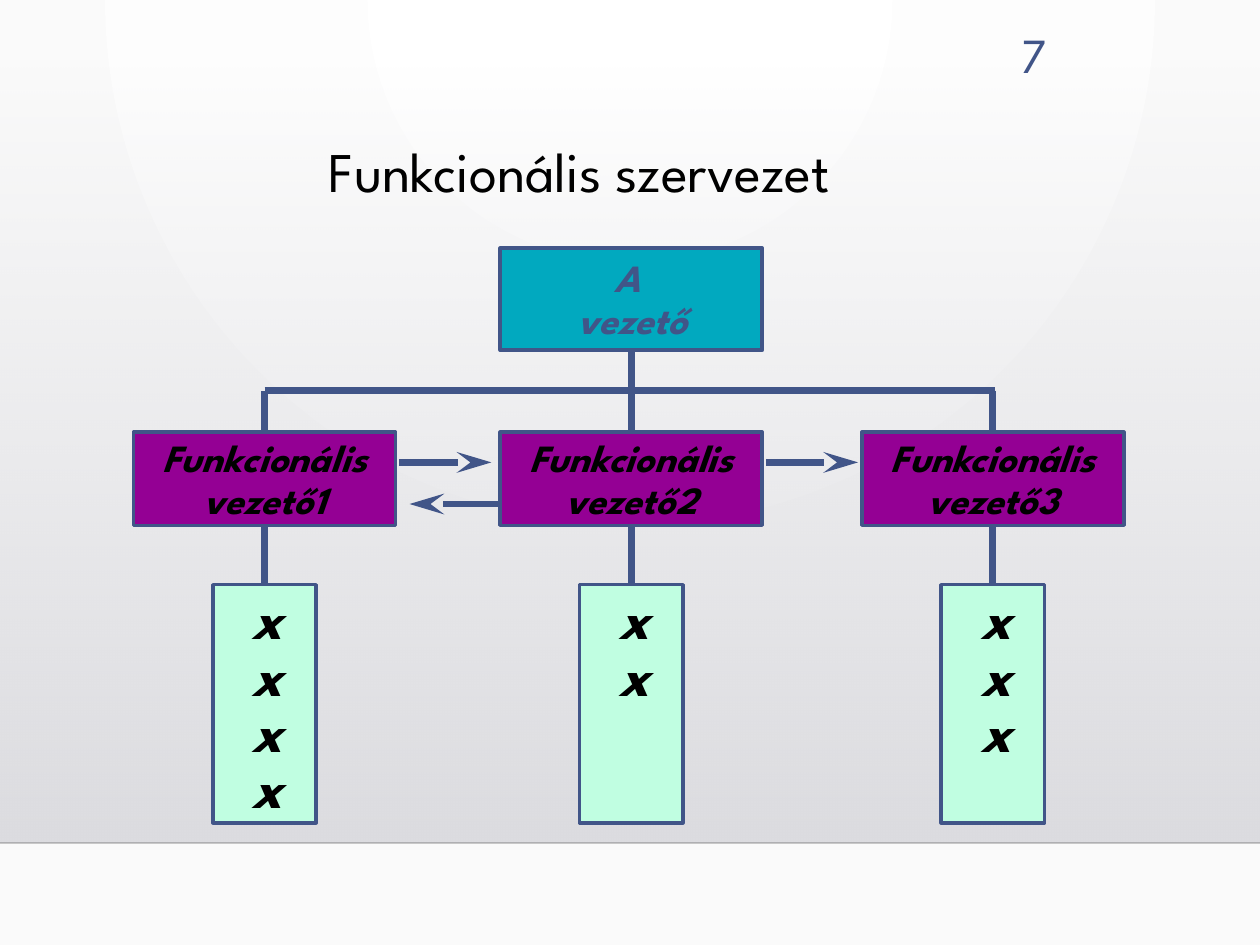
from dataclasses import dataclass

from lxml.etree import SubElement
from pptx import Presentation
from pptx.dml.color import RGBColor
from pptx.enum.shapes import MSO_CONNECTOR, MSO_SHAPE
from pptx.enum.text import MSO_ANCHOR, PP_ALIGN
from pptx.oxml import parse_xml
from pptx.oxml.ns import nsdecls, qn
from pptx.shapes.autoshape import Shape
from pptx.shapes.connector import Connector
from pptx.slide import Slide
from pptx.text.text import TextFrame
from pptx.util import Inches, Pt

FONT = "League Spartan"
NAVY = RGBColor(0x41, 0x55, 0x88)
TEAL = RGBColor(0x01, 0xA9, 0xBF)
PURPLE = RGBColor(0x94, 0x00, 0x94)
MINT = RGBColor(0xC0, 0xFE, 0xE1)
BLACK = RGBColor(0x00, 0x00, 0x00)
HORIZON = RGBColor(0x00, 0x00, 0x01)

BOX_WIDTH = 2.08
LIST_WIDTH = 0.82
BUS_TOP = 3.1
MANAGER_TOP = 3.43
MANAGER_HEIGHT = 0.74
LIST_TOP = 4.64
TOP, BOTTOM = 0, 2


@dataclass
class TextStyle:
    size: float
    color: RGBColor = BLACK
    emphasis: bool = True
    align: PP_ALIGN = PP_ALIGN.CENTER
    line_spacing: float = 0.9
    space_after: float = 0


@dataclass
class Department:
    center: float
    manager: str
    members: int


@dataclass
class Arrow:
    start: float
    end: float
    top: float


DEPARTMENTS = [
    Department(2.1, "vezető1", 4),
    Department(5.01, "vezető2", 2),
    Department(7.88, "vezető3", 3),
]
ARROWS = [Arrow(3.17, 3.9, 3.67), Arrow(3.97, 3.25, 4), Arrow(6.08, 6.81, 3.67)]
MANAGER_STYLE = TextStyle(22)
MEMBER_STYLE = TextStyle(32, line_spacing=0.75, space_after=3.4)


def write_lines(frame: TextFrame, lines: list[str], style: TextStyle) -> None:
    for index, line in enumerate(lines):
        para = frame.paragraphs[0] if index == 0 else frame.add_paragraph()
        para.alignment = style.align
        para.line_spacing = style.line_spacing
        para.space_before = Pt(0)
        para.space_after = Pt(style.space_after)
        span = para.add_run()
        span.text = line
        span.font.name = FONT
        span.font.size = Pt(style.size)
        span.font.bold = style.emphasis
        span.font.italic = style.emphasis
        span.font.color.rgb = style.color


def add_label(slide: Slide, left: float, top: float, width: float, height: float,
              lines: list[str], style: TextStyle, wrap: bool = True) -> TextFrame:
    label = slide.shapes.add_textbox(Inches(left), Inches(top), Inches(width), Inches(height))
    label.text_frame.word_wrap = wrap
    write_lines(label.text_frame, lines, style)
    return label.text_frame


def add_box(slide: Slide, center: float, top: float, width: float, height: float,
            color: RGBColor) -> Shape:
    box = slide.shapes.add_shape(MSO_SHAPE.RECTANGLE, Inches(center - width / 2), Inches(top),
                                 Inches(width), Inches(height))
    box.shadow.inherit = False
    box.fill.solid()
    box.fill.fore_color.rgb = color
    box.line.color.rgb = NAVY
    box.line.width = Pt(2)
    return box


def add_line(slide: Slide, x1: float, y1: float, x2: float, y2: float,
             color: RGBColor = NAVY, width: float = 4) -> Connector:
    line = slide.shapes.add_connector(MSO_CONNECTOR.STRAIGHT, Inches(x1), Inches(y1),
                                      Inches(x2), Inches(y2))
    line.line.color.rgb = color
    line.line.width = Pt(width)
    SubElement(line._element.spPr, qn("a:effectLst"))
    return line


def add_arrow(slide: Slide, arrow: Arrow) -> None:
    line = add_line(slide, arrow.start, arrow.top, arrow.end, arrow.top)
    SubElement(line.line._get_or_add_ln(), qn("a:tailEnd"), type="stealth", w="med", len="lg")


def add_backdrop(slide: Slide) -> None:
    slide.background.fill.gradient()
    gradient = slide.background._cSld.find(".//" + qn("a:gradFill"))
    gradient.getparent().replace(gradient, parse_xml(
        f'<a:gradFill {nsdecls("a")} rotWithShape="1"><a:gsLst>'
        '<a:gs pos="0"><a:srgbClr val="FFFFFF"/></a:gs>'
        '<a:gs pos="100000"><a:srgbClr val="FAFAFA"/></a:gs></a:gsLst>'
        '<a:path path="circle"><a:fillToRect l="43000" r="43000" b="100000"/></a:path>'
        '</a:gradFill>'))
    wall = add_box(slide, 5, 0.51, 10, 6.18, MINT)
    wall.line.fill.background()
    solid = wall._element.spPr.find(qn("a:solidFill"))
    solid.getparent().replace(solid, parse_xml(
        f'<a:gradFill {nsdecls("a")}><a:gsLst>'
        '<a:gs pos="0"><a:srgbClr val="DCDCE0"><a:alpha val="0"/></a:srgbClr></a:gs>'
        '<a:gs pos="100000"><a:srgbClr val="DADADE"/></a:gs></a:gsLst>'
        '<a:lin ang="5400000" scaled="0"/></a:gradFill>'))
    horizon = add_line(slide, 0, 6.69, 10, 6.69, HORIZON, 1)
    color = horizon._element.spPr.find(".//" + qn("a:srgbClr"))
    SubElement(color, qn("a:alpha"), val="20000")


def add_title(slide: Slide) -> None:
    title = slide.shapes.title
    title.left, title.top = Inches(2.51), Inches(1.09)
    title.width, title.height = Inches(4.87), Inches(1.15)
    title.text_frame.vertical_anchor = MSO_ANCHOR.TOP
    write_lines(title.text_frame, ["Funkcionális szervezet"],
                TextStyle(32, emphasis=False, align=PP_ALIGN.LEFT))
    slide.shapes._spTree.append(title._element)


def add_department(slide: Slide, department: Department) -> None:
    center = department.center
    manager = add_box(slide, center, MANAGER_TOP, BOX_WIDTH, MANAGER_HEIGHT, PURPLE)
    members = add_box(slide, center, LIST_TOP, LIST_WIDTH, 1.89, MINT)
    add_line(slide, center, BUS_TOP, center, MANAGER_TOP).end_connect(manager, TOP)
    link = add_line(slide, center, MANAGER_TOP + MANAGER_HEIGHT, center, LIST_TOP)
    link.begin_connect(manager, BOTTOM)
    link.end_connect(members, TOP)
    add_label(slide, center - 1.05, 3.44, 2.1, 0.76,
              ["Funkcionális", department.manager], MANAGER_STYLE)
    add_label(slide, center - 0.2, 4.71, 0.39, 1.86,
              ["x"] * department.members, MEMBER_STYLE, wrap=False)


def main() -> None:
    deck = Presentation()
    deck.slide_width, deck.slide_height = Inches(10), Inches(7.5)
    page = deck.slides.add_slide(deck.slide_layouts[5])
    add_backdrop(page)
    number = add_label(page, 7.54, 0.15, 0.87, 0.55, ["7"],
                       TextStyle(28, NAVY, False, PP_ALIGN.RIGHT, 1))
    number.vertical_anchor = MSO_ANCHOR.MIDDLE
    add_title(page)

    leader_center = DEPARTMENTS[1].center
    leader = add_box(page, leader_center, 1.97, BOX_WIDTH, 0.81, TEAL)
    add_label(page, 3.94, 2.01, 2.16, 0.76, ["A ", "vezető"], TextStyle(22, NAVY))
    add_line(page, leader_center, 2.78, leader_center, BUS_TOP).begin_connect(leader, BOTTOM)
    add_line(page, DEPARTMENTS[0].center, BUS_TOP, 7.9, BUS_TOP)
    for arrow in ARROWS:
        add_arrow(page, arrow)
    for department in DEPARTMENTS:
        add_department(page, department)
    deck.save("out.pptx")


if __name__ == "__main__":
    main()
